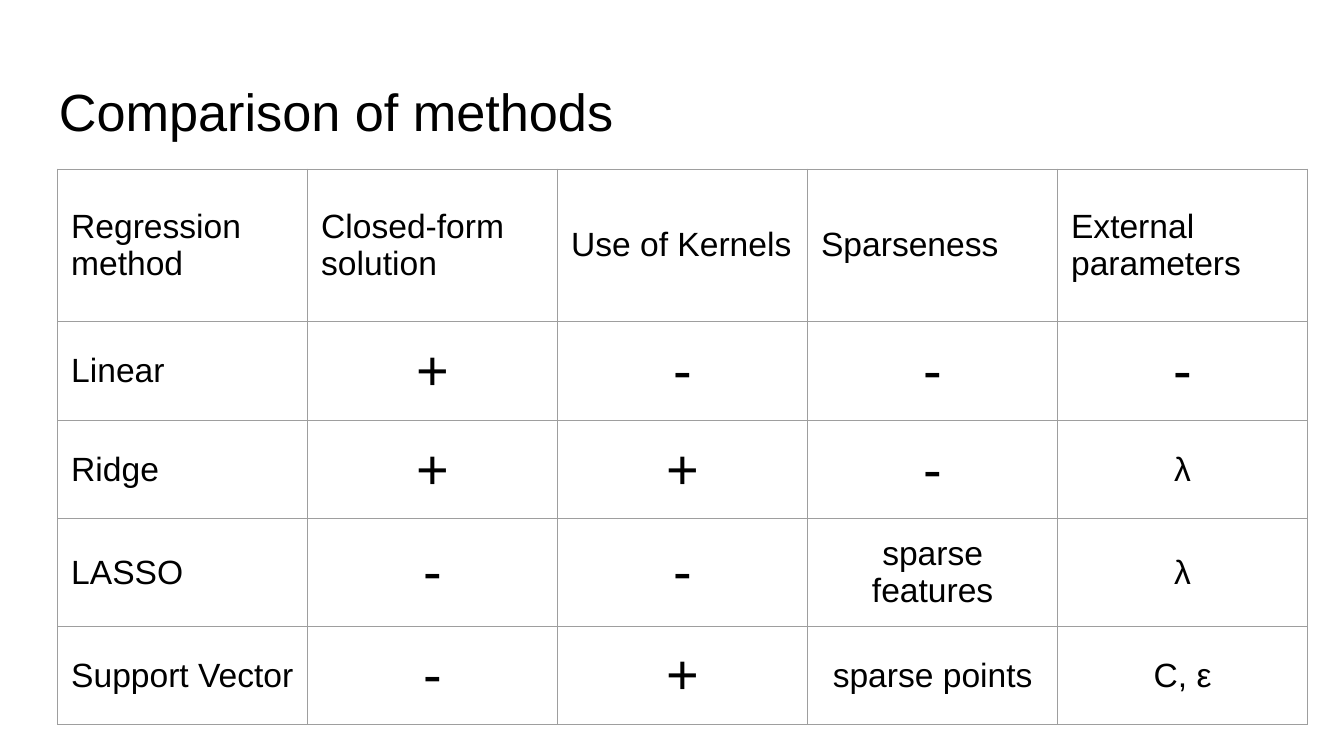
from dataclasses import dataclass

from lxml import etree
from pptx import Presentation
from pptx import util as u
from pptx.dml.color import RGBColor
from pptx.enum import text
from pptx.oxml import ns


@dataclass(frozen=True)
class Theme:
    font: str = "Arial"
    ink: str = "000000"
    paper: str = "FFFFFF"
    rule: str = "9E9E9E"
    rule_width: float = 0.75
    title_size: int = 28
    body_size: int = 18
    sign_size: int = 30
    inset: float = 0.1


THEME = Theme()
SIGNS = ("+", "-")
METHODS = [
    ["Regression method", "Closed-form solution", "Use of Kernels", "Sparseness", "External parameters"],
    ["Linear", "+", "-", "-", "-"],
    ["Ridge", "+", "+", "-", "λ"],
    ["LASSO", "-", "-", "sparse features", "λ"],
    ["Support Vector", "-", "+", "sparse points", "C, ε"],
]
COLUMN_WIDTH = 1.86
ROW_HEIGHTS = [1.13, 0.74, 0.73, 0.73, 0.73]


def set_attributes(target, values):
    for name, value in values.items():
        setattr(target, name, value)


def set_margins(target):
    sides = ("left", "top", "right", "bottom")
    set_attributes(target, {f"margin_{side}": u.Inches(THEME.inset) for side in sides})


def write(para, words, size, align=text.PP_ALIGN.LEFT):
    set_attributes(para, {"alignment": align, "line_spacing": 1.0,
                          "space_before": u.Pt(0), "space_after": u.Pt(0)})
    span = para.add_run()
    span.text = words
    set_attributes(span.font, {"name": THEME.font, "size": u.Pt(size), "bold": False})
    span.font.color.rgb = RGBColor.from_string(THEME.ink)


def add_borders(cell):
    properties = cell._tc.get_or_add_tcPr()
    for index, side in enumerate(("lnL", "lnR", "lnT", "lnB")):
        line = etree.Element(ns.qn(f"a:{side}"), w=str(u.Pt(THEME.rule_width)))
        fill = etree.SubElement(line, ns.qn("a:solidFill"))
        etree.SubElement(fill, ns.qn("a:srgbClr"), val=THEME.rule)
        properties.insert(index, line)


def add_title(page, box, words):
    frame = page.shapes.add_textbox(*map(u.Inches, box)).text_frame
    set_attributes(frame, {"word_wrap": True, "vertical_anchor": text.MSO_ANCHOR.TOP})
    set_margins(frame)
    write(frame.paragraphs[0], words, THEME.title_size)


def add_comparison(page, box, rows, heights):
    shape = page.shapes.add_table(len(rows), len(rows[0]), *map(u.Inches, box))
    table = shape.table
    set_attributes(table, {"first_row": False, "horz_banding": False})
    for column in table.columns:
        column.width = u.Inches(COLUMN_WIDTH)
    for row, height in zip(table.rows, heights):
        row.height = u.Inches(height)
    # The frame stays smaller than its rows, so that only full rows grow
    set_attributes(shape, {"width": u.Inches(box[2]), "height": u.Inches(box[3])})

    # Headings and method names stand left; the ratings are centred
    for r, row in enumerate(rows):
        for c, words in enumerate(row):
            cell = table.cell(r, c)
            cell.vertical_anchor = text.MSO_ANCHOR.MIDDLE
            set_margins(cell)
            cell.fill.background()
            add_borders(cell)
            size = THEME.sign_size if words in SIGNS else THEME.body_size
            align = text.PP_ALIGN.CENTER if r and c else text.PP_ALIGN.LEFT
            write(cell.text_frame.paragraphs[0], words, size, align)


def main():
    deck = Presentation()
    deck.slide_width = u.Inches(10)
    deck.slide_height = deck.slide_width * 9 // 16
    page = deck.slides.add_slide(deck.slide_layouts[6])
    page.background.fill.solid()
    page.background.fill.fore_color.rgb = RGBColor.from_string(THEME.paper)

    add_title(page, (0.34, 0.49, 9.32, 0.63), "Comparison of methods")
    add_comparison(page, (0.43, 1.26, 3.28, 3.28), METHODS, ROW_HEIGHTS)
    deck.save("out.pptx")


if __name__ == "__main__":
    main()
